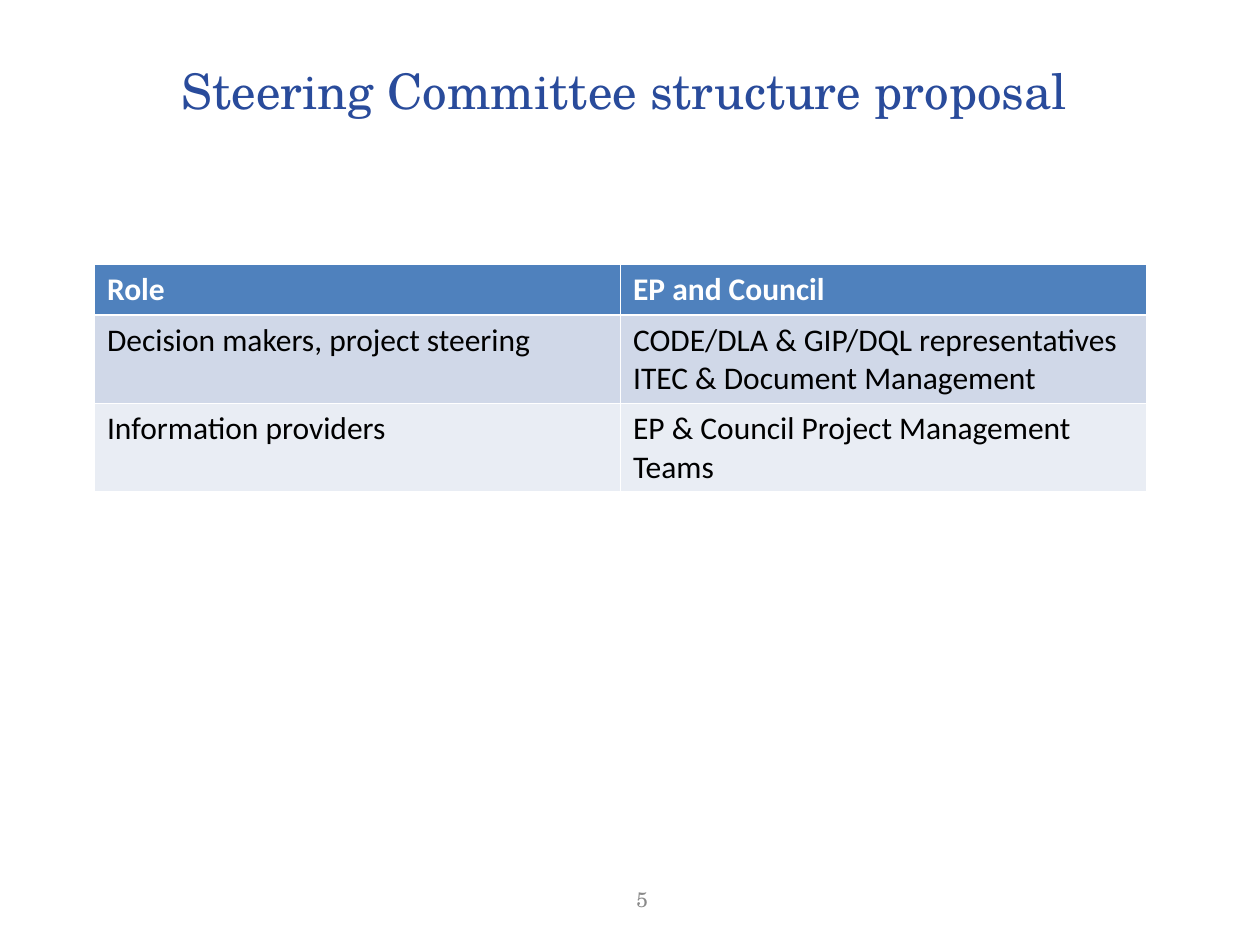
from dataclasses import dataclass

from lxml import etree
from pptx import Presentation
from pptx.dml.color import RGBColor
from pptx.enum.text import MSO_ANCHOR, PP_ALIGN
from pptx.oxml.ns import qn
from pptx.util import Inches, Pt

MIDDLE = MSO_ANCHOR.MIDDLE
CENTER, LEFT, RIGHT = PP_ALIGN.CENTER, PP_ALIGN.LEFT, PP_ALIGN.RIGHT


@dataclass(frozen=True)
class Theme:
    heading_font: str = "TeX Gyre Schola"
    table_font: str = "Calibri"
    title_size: int = 28
    table_size: int = 18
    number_size: int = 12
    title: str = "294B9B"
    number: str = "898989"
    white: str = "FFFFFF"
    black: str = "000000"
    header_fill: str = "4F81BD"
    band_fills: tuple = ("D0D8E8", "E9EDF4")
    thin_rule: float = 0.45
    header_rule: float = 1.47


THEME = Theme()

ROLES = [
    ("Role", "EP and Council"),
    ("Decision makers, project steering",
     "CODE/DLA & GIP/DQL representatives\nITEC & Document Management"),
    ("Information providers", "EP & Council Project Management Teams"),
]


def write(frame, text, font, size, color, align, bold=False):
    frame.text = text
    for paragraph in frame.paragraphs:
        paragraph.alignment = align
        for run in paragraph.runs:
            run.font.name = font
            run.font.size = Pt(size)
            run.font.bold = bold
            run.font.color.rgb = RGBColor.from_string(color)


def add_heading_text(slide, box, text, size, color, align):
    frame = slide.shapes.add_textbox(*map(Inches, box)).text_frame
    frame.word_wrap = True
    frame.vertical_anchor = MIDDLE
    write(frame, text, THEME.heading_font, size, color, align)


def set_borders(cell, top, bottom):
    """Rule all four sides in white; must run before the cell is filled."""
    properties = cell._tc.get_or_add_tcPr()
    widths = {"a:lnL": THEME.thin_rule, "a:lnR": THEME.thin_rule,
              "a:lnT": top, "a:lnB": bottom}
    for side, width in widths.items():
        line = etree.SubElement(properties, qn(side), w=str(Pt(width)))
        fill = etree.SubElement(line, qn("a:solidFill"))
        etree.SubElement(fill, qn("a:srgbClr"), val=THEME.white)


def add_roles_table(slide, box, row_heights):
    table = slide.shapes.add_table(
        len(ROLES), len(ROLES[0]), *map(Inches, box)).table
    for row, height in zip(table.rows, row_heights):
        row.height = Inches(height)
    for r, texts in enumerate(ROLES):
        header = r == 0
        fill = THEME.header_fill if header else THEME.band_fills[(r - 1) % 2]
        color = THEME.white if header else THEME.black
        top = THEME.header_rule if r == 1 else THEME.thin_rule
        bottom = THEME.header_rule if header else THEME.thin_rule
        for c, text in enumerate(texts):
            cell = table.cell(r, c)
            set_borders(cell, top, bottom)
            cell.fill.solid()
            cell.fill.fore_color.rgb = RGBColor.from_string(fill)
            write(cell.text_frame, text, THEME.table_font, THEME.table_size,
                  color, LEFT, bold=header)


def main():
    deck = Presentation()
    deck.slide_width, deck.slide_height = Inches(10), Inches(7.5)
    slide = deck.slides.add_slide(deck.slide_layouts[6])
    add_heading_text(slide, (4.69, 6.94, 0.55, 0.4), "5",
                     THEME.number_size, THEME.number, RIGHT)
    add_heading_text(slide, (0.18, 0.44, 9.55, 0.55),
                     "Steering Committee structure proposal",
                     THEME.title_size, THEME.title, CENTER)
    add_roles_table(slide, (0.75, 2.1, 8.35, 1.8), (0.4, 0.7, 0.7))
    deck.save("out.pptx")


if __name__ == "__main__":
    main()
